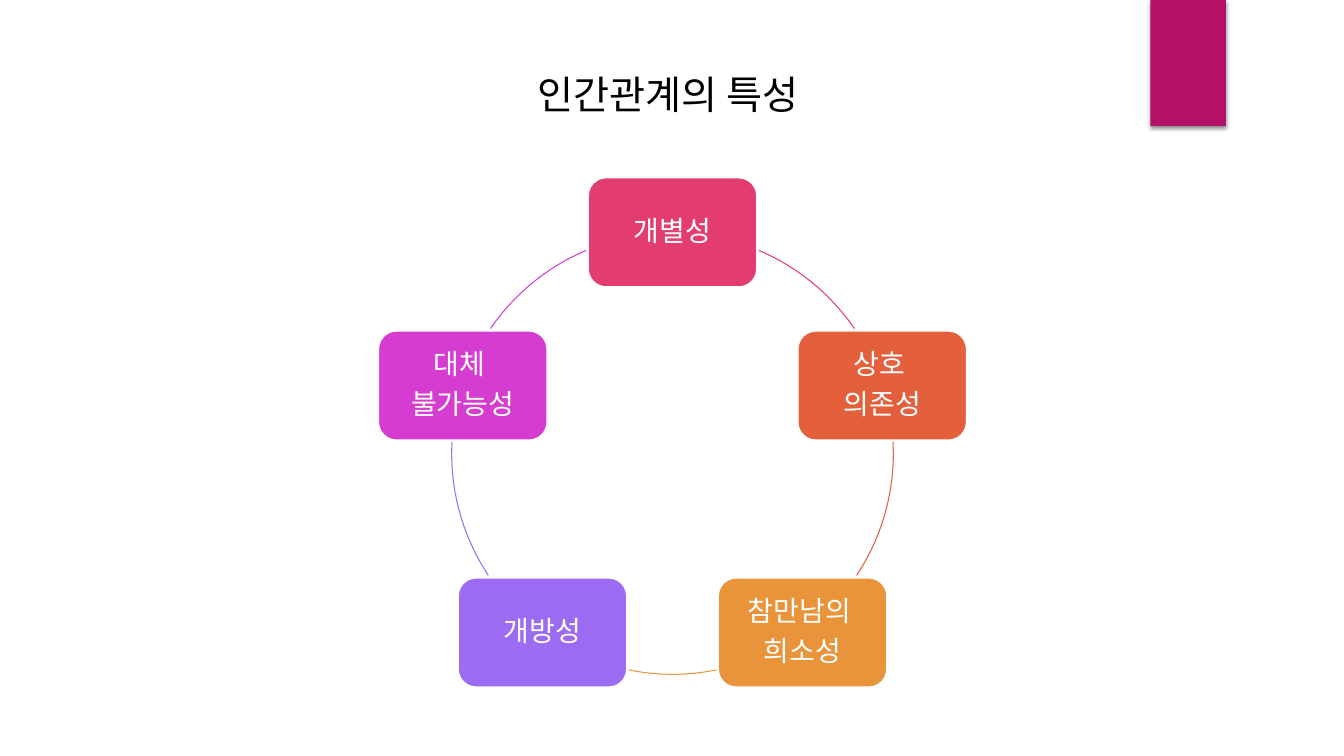
import math
from dataclasses import dataclass

from lxml import etree
from pptx import Presentation
from pptx import util as u
from pptx.dml.color import RGBColor
from pptx.enum import shapes, text
from pptx.oxml import ns

EMU_PER_PX = 9144


@dataclass(frozen=True)
class Theme:
    font: str = "TeX Gyre Adventor"
    title_size: int = 28
    label_size: int = 20
    ink: str = "000000"
    paper: str = "FFFFFF"
    ribbon: str = "B31166"
    pink: str = "E33D6F"
    coral: str = "E45F3C"
    amber: str = "E9943A"
    violet: str = "9B6BF2"
    magenta: str = "D53DD0"


def px(length):
    return u.Emu(round(length) * EMU_PER_PX)


def write_text(shape, lines, *, font, size, color, anchor, margins=None,
               line_spacing=None, space_after=None):
    frame = shape.text_frame
    frame.word_wrap = True
    frame.auto_size = text.MSO_AUTO_SIZE.NONE
    frame.vertical_anchor = anchor
    if margins is not None:
        frame.margin_left = frame.margin_right = px(margins)
        frame.margin_top = frame.margin_bottom = px(margins)
    for index, line in enumerate(lines):
        paragraph = frame.paragraphs[0] if index == 0 else frame.add_paragraph()
        paragraph.alignment = text.PP_ALIGN.CENTER
        paragraph.line_spacing = line_spacing
        paragraph.space_after = space_after
        run = paragraph.add_run()
        run.text = line
        run.font.name = font
        run.font.size = u.Pt(size)
        run.font.color.rgb = RGBColor.from_string(color)


class SlideBuilder:
    def __init__(self, slide, theme):
        self.slide = slide
        self.theme = theme

    def title(self, line, left, top, width, height):
        title = self.slide.shapes.title
        title.left, title.top = px(left), px(top)
        title.width, title.height = px(width), px(height)
        write_text(title, [line], font=self.theme.font, size=self.theme.title_size,
                   color=self.theme.ink, anchor=text.MSO_ANCHOR.TOP)

    def shape(self, kind, left, top, width, height, fill=None, line=None, weight=0):
        shape = self.slide.shapes.add_shape(kind, px(left), px(top), px(width), px(height))
        shape.shadow.inherit = False
        if fill:
            shape.fill.solid()
            shape.fill.fore_color.rgb = RGBColor.from_string(fill)
        else:
            shape.fill.background()
        if line:
            shape.line.color.rgb = RGBColor.from_string(line)
            shape.line.width = u.Pt(weight)
        else:
            shape.line.fill.background()
        return shape

    def ribbon(self, left, top, width, height):
        ribbon = self.shape(shapes.MSO_SHAPE.RECTANGLE, left, top, width, height,
                            fill=self.theme.ribbon)
        effects = ribbon._element.spPr.find(ns.qn("a:effectLst"))
        shadow = etree.SubElement(effects, ns.qn("a:outerShdw"), blurRad=str(u.Pt(3)),
                                  dist=str(u.Pt(2)), dir="5400000", rotWithShape="0")
        color = etree.SubElement(shadow, ns.qn("a:srgbClr"), val=self.theme.ink)
        etree.SubElement(color, ns.qn("a:alpha"), val="45000")

    def box(self, lines, center_x, center_y, width, height, color):
        box = self.shape(shapes.MSO_SHAPE.ROUNDED_RECTANGLE, center_x - width / 2,
                         center_y - height / 2, width, height,
                         fill=color, line=self.theme.paper, weight=1.5)
        write_text(box, lines, font=self.theme.font, size=self.theme.label_size,
                   color=self.theme.paper, anchor=text.MSO_ANCHOR.MIDDLE, margins=8,
                   line_spacing=0.9, space_after=u.Pt(7))

    def arc(self, center_x, center_y, radius, start, end, color):
        arc = self.shape(shapes.MSO_SHAPE.ARC, center_x - radius, center_y - radius,
                         2 * radius, 2 * radius, line=color, weight=0.75)
        for index, degrees in enumerate((start, end)):
            arc.adjustments[index] = degrees * 0.6

    def cycle(self, steps, center_x, center_y, radius, box_width, box_height):
        for index, (lines, color, start, end) in enumerate(steps):
            angle = math.radians(360 * index / len(steps) - 90)
            self.box(lines, center_x + radius * math.cos(angle),
                     center_y + radius * math.sin(angle), box_width, box_height, color)
            self.arc(center_x, center_y, radius, start, end, color)


def main():
    theme = Theme()
    presentation = Presentation()
    presentation.slide_width, presentation.slide_height = px(1333), px(750)
    slide = presentation.slides.add_slide(presentation.slide_layouts[5])
    builder = SlideBuilder(slide, theme)
    builder.ribbon(1141, 0, 75, 125)
    builder.title("인간관계의 특성 ", 257, 65, 819, 57)
    steps = [
        (["개별성"], theme.pink, 293, 325.5),
        (["상호 ", "의존성"], theme.coral, 357, 33.5),
        (["참만남의 ", "희소성"], theme.amber, 78.5, 101.5),
        (["개방성"], theme.violet, 146.5, 183),
        (["대체 ", "불가능성"], theme.magenta, 214.5, 247),
    ]
    builder.cycle(steps, center_x=667, center_y=450, radius=219,
                  box_width=168, box_height=109)
    presentation.save("out.pptx")


if __name__ == "__main__":
    main()
